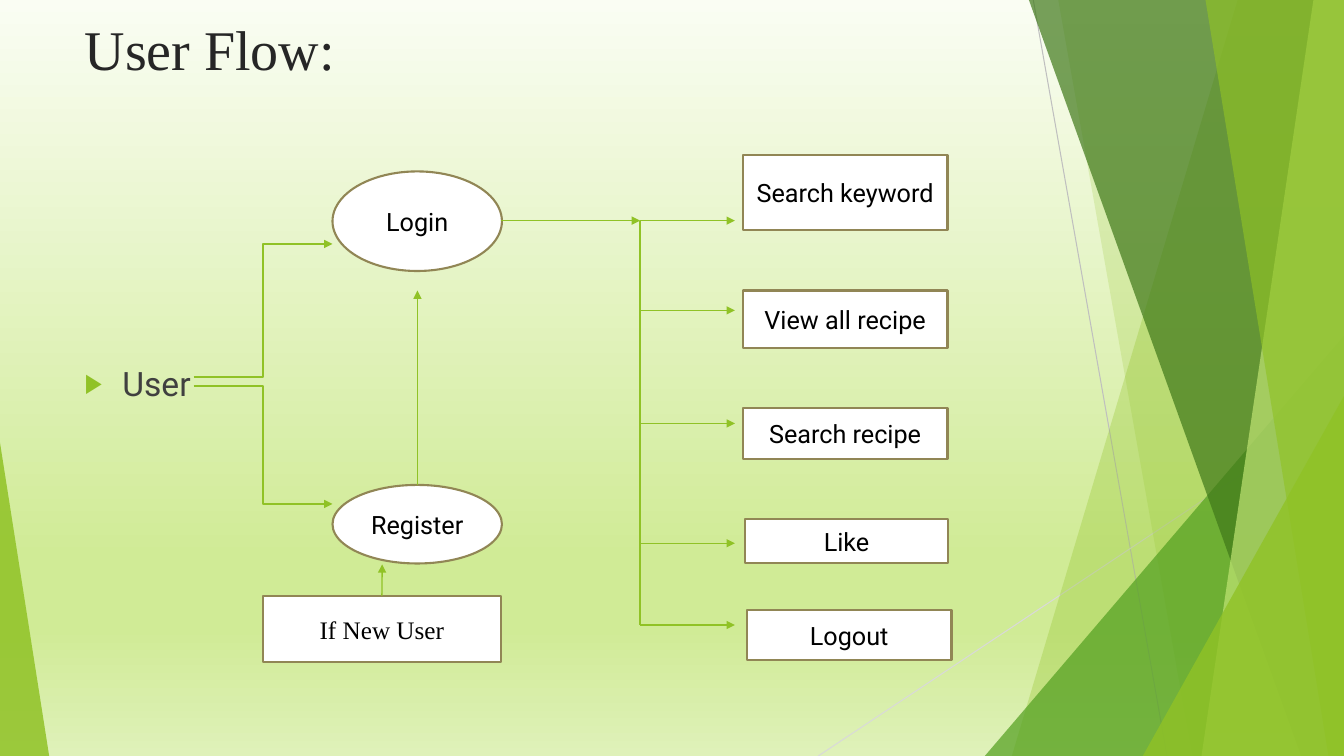
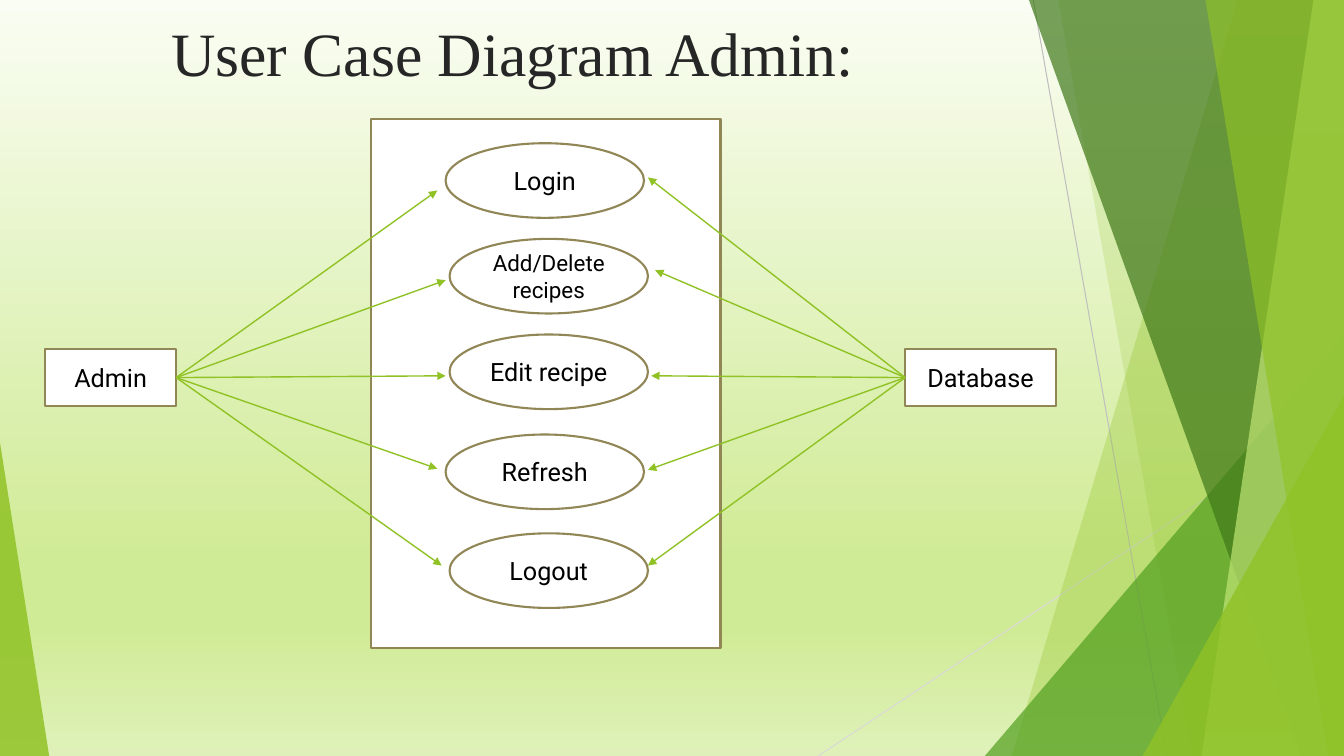
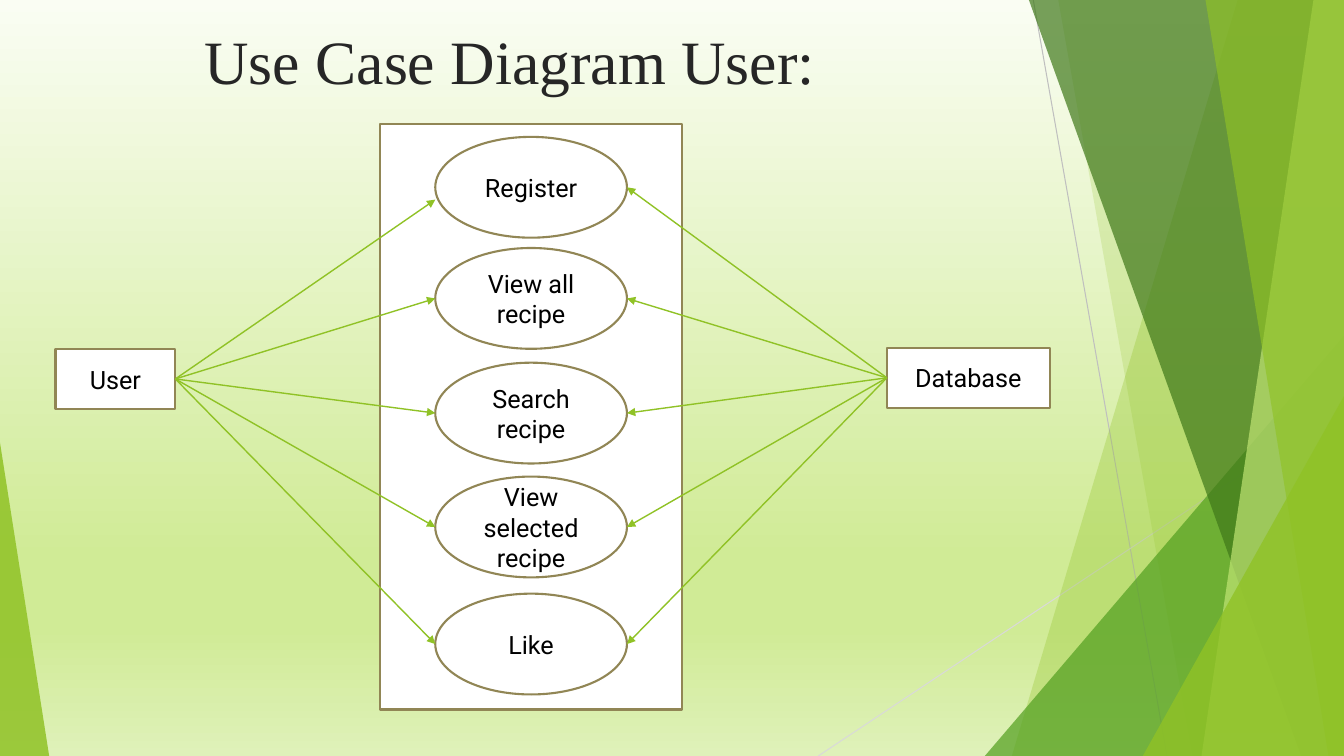
from lxml import etree
from pptx import Presentation
from pptx import util as u
from pptx.dml import color
from pptx.enum import shapes, text
from pptx.oxml import ns

W, H = 33.87, 19.05
GREEN, MID, DARK, PALE = "90C226", "54A021", "3F7819", "C0E474"
SANS, SERIF = "Roboto", "Times New Roman"
RECT, OVAL = shapes.MSO_SHAPE.RECTANGLE, shapes.MSO_SHAPE.OVAL
TRIANGLE = shapes.MSO_SHAPE.ISOSCELES_TRIANGLE
STRAIGHT, ELBOW = shapes.MSO_CONNECTOR.STRAIGHT, shapes.MSO_CONNECTOR.ELBOW
TOP, LEFT, RIGHT = 0, 1, 3


def rgb(value):
    return color.RGBColor.from_string(value)


def child(parent, tag, **attrs):
    return etree.SubElement(parent, ns.qn(tag), attrs)


def apply(target, values):
    for name, value in values.items():
        setattr(target, name, value)


def cm(*values):
    return [u.Cm(v) for v in values]


class Deck:
    stops = ((0, "FAFDF3"), (74, "D0EB96"), (83, "D0EB96"), (100, "DFF1B9"))
    frame = {"word_wrap": True, "auto_size": text.MSO_AUTO_SIZE.NONE}
    title_frame = {**frame, "vertical_anchor": text.MSO_ANCHOR.TOP}
    label_frame = {**frame, "vertical_anchor": text.MSO_ANCHOR.MIDDLE}

    def __init__(self):
        self.prs = Presentation()
        self.prs.slide_width, self.prs.slide_height = cm(W, H)
        self.s = None

    def start(self, title, box, size, layout=5):
        first = self.s is None
        self.s = self.prs.slides.add_slide(self.prs.slide_layouts[layout])
        if first:
            self.background()
            self.backdrop()
        sp = self.s.shapes.title
        self.place(sp, box)
        self.label(sp, title, self.title_frame, SERIF, size, "262626",
                   text.PP_ALIGN.LEFT)

    def background(self):
        master = self.prs.slide_master
        fill = master.background.fill
        fill.gradient()
        fill.gradient_angle = 270
        stops = master.element.xpath(".//p:bg//a:gsLst")[0]
        for old in list(stops):
            stops.remove(old)
        for pos, value in self.stops:
            stop = child(stops, "a:gs", pos=str(pos * 1000))
            child(stop, "a:srgbClr", val=value)

    def backdrop(self):
        parts = [
            self.link(26.04, 0, 29.41, H, False, value="BFBFBF", width=0.75),
            self.link(W, 10.24, 20.62, H, False, value="D9D9D9", width=0.75),
            self.band(31.19, 25.5, GREEN, 30),
            self.band(26.67, 30.05, GREEN, 20),
            self.wedge(24.82, 8.46, W - 24.82, 1, MID, 72),
            self.band(25.93, 32.79, DARK, 70),
            self.band(33.1, 30.28, PALE, 70),
            self.band(30.38, 33.48, GREEN, 65),
            self.wedge(28.8, 9.98, W - 28.8, 1, GREEN, 80),
            self.wedge(0, 11.15, 1.24, 0, GREEN, 85),
        ]
        tree = self.prs.slide_master.shapes.element
        for i, sp in enumerate(parts):
            sp.element.xpath(".//p:cNvPr")[0].set("id", str(100 + i))
            tree.insert(2 + i, sp.element)

    def band(self, top_x, bottom_x, value, opacity):
        fb = self.s.shapes.build_freeform(*cm(top_x, 0), scale=1.0)
        corners = ((W, 0), (W, H), (bottom_x, H))
        fb.add_line_segments([cm(*xy) for xy in corners], close=True)
        return self.tint(fb.convert_to_shape(), value, opacity)

    def wedge(self, x, y, width, apex, value, opacity):
        sp = self.s.shapes.add_shape(TRIANGLE, *cm(x, y, width, H - y))
        sp.adjustments[0] = apex
        return self.tint(sp, value, opacity)

    def tint(self, sp, value, opacity):
        sp.shadow.inherit = False
        sp.fill.solid()
        sp.fill.fore_color.rgb = rgb(value)
        sp.line.fill.background()
        clr = sp.element.xpath("./p:spPr/a:solidFill/a:srgbClr")[0]
        child(clr, "a:alpha", val=str(opacity * 1000))
        return sp

    def place(self, sp, box):
        apply(sp, dict(zip(("left", "top", "width", "height"), cm(*box))))

    def label(self, sp, words, frame, font, size, value, align):
        tf = sp.text_frame
        apply(tf, frame)
        p = tf.paragraphs[0]
        apply(p, {"alignment": align, "space_before": u.Pt(0)})
        r = p.add_run()
        r.text = words
        apply(r.font, {"name": font, "size": u.Pt(size)})
        r.font.color.rgb = rgb(value)

    def bullet(self, words, box, lift):
        sp = self.s.placeholders[1]
        self.place(sp, box)
        pPr = sp.element.xpath(".//a:p")[0].get_or_add_pPr()
        for name, value in (("marL", 0.95), ("indent", -0.95)):
            pPr.set(name, str(u.Cm(value)))
        child(child(pPr, "a:buClr"), "a:srgbClr", val=GREEN)
        child(pPr, "a:buSzPct", val="80000")
        child(pPr, "a:buChar", char="▶")
        frame = {**self.label_frame, "margin_bottom": u.Cm(lift)}
        self.label(sp, words, frame, SANS, 24, "404040", text.PP_ALIGN.LEFT)

    def node(self, kind, box, words="", size=18, font=SANS):
        sp = self.s.shapes.add_shape(kind, *cm(*box))
        sp.shadow.inherit = False
        sp.fill.solid()
        sp.fill.fore_color.rgb = rgb("FFFFFF")
        sp.line.color.rgb = rgb("918655")
        sp.line.width = u.Pt(1.5)
        if words:
            self.label(sp, words, self.label_frame, font, size, "000000",
                       text.PP_ALIGN.CENTER)
        return sp

    def link(self, x1, y1, x2, y2, arrow=True, kind=STRAIGHT, value=GREEN,
             width=1):
        cx = self.s.shapes.add_connector(kind, *cm(x1, y1, x2, y2))
        cx.line.color.rgb = rgb(value)
        cx.line.width = u.Pt(width)
        if arrow:
            ln = cx.element.xpath("./p:spPr/a:ln")[0]
            child(ln, "a:tailEnd", type="triangle")
        child(cx.element.spPr, "a:effectLst")
        return cx

    def use_cases(self, system, actor, database, size, cases):
        self.node(RECT, system)
        sides = ((self.node(RECT, *actor), RIGHT),
                 (self.node(RECT, *database), LEFT))
        for words, points, x, y, *ends in cases:
            self.node(OVAL, (x, y, *size), words, points)
            for (sp, side), end in zip(sides, ends):
                self.link(0, 0, *end).begin_connect(sp, side)


def user_flow(deck):
    deck.start("User Flow:", (1.88, 0.23, 23.88, 3.66), 40, layout=1)
    deck.bullet("User", (1.88, 3.43, 23.88, 13.34), 1)
    for start_y, end_y in ((9.5, 6.15), (9.73, 12.7)):
        deck.link(4.88, start_y, 8.38, end_y, kind=ELBOW)
    deck.node(OVAL, (8.38, 4.32, 4.27, 2.51), "Login")
    deck.node(OVAL, (8.38, 12.22, 4.27, 1.98), "Register")
    new_user = deck.node(RECT, (6.63, 15.01, 5.99, 1.68), "If New User",
                         font=SERIF)
    deck.link(9.63, 15.01, 9.63, 14.22).begin_connect(new_user, TOP)
    deck.link(10.52, 12.22, 10.52, 7.32)
    trunk, top, bottom = 16.13, 5.56, 15.75
    deck.link(12.62, top, trunk, top)
    deck.link(trunk, top, trunk, bottom, False)
    actions = (
        ("Search keyword", top, (18.72, 3.91, 5.16, 1.88)),
        ("View all recipe", 7.82, (18.72, 7.32, 5.16, 1.45)),
        ("Search recipe", 10.67, (18.72, 10.29, 5.16, 1.27)),
        ("Like", 13.69, (18.77, 13.08, 5.13, 1.12)),
        ("Logout", bottom, (18.82, 15.37, 5.16, 1.27)),
    )
    for words, y, box in actions:
        deck.link(trunk, y, 18.52, y)
        deck.node(RECT, box, words)


def admin_cases(deck):
    deck.start("User Case Diagram Admin:", (4.06, 0.25, 18.54, 2.29), 44)
    deck.use_cases(
        (9.35, 3, 8.81, 13.34),
        ((1.14, 8.79, 3.3, 1.45), "Admin"),
        ((22.81, 8.79, 3.81, 1.45), "Database"),
        (5, 1.88),
        (
            ("Login", 18, 11.23, 3.61, (11.02, 4.8), (16.33, 4.47)),
            ("Add/Delete recipes", 16, 11.33, 6.02, (11.23, 7.06), (16.51, 6.81)),
            ("Edit recipe", 18, 11.33, 8.43, (11.23, 9.47), (16.41, 9.47)),
            ("Refresh", 18, 11.23, 10.95, (11.02, 11.81), (16.33, 11.84)),
            ("Logout", 18, 11.33, 13.44, (11.13, 14.25), (16.33, 14.25)),
        ),
    )


def user_cases(deck):
    deck.start("Use Case Diagram User:", (4.9, 0.46, 18.44, 2.34), 44)
    x, width, height = 10.97, 4.83, 2.54
    rows = (
        ("Register", 3.45, 0.31),
        ("View all recipe", 6.25, 0),
        ("Search recipe", 9.14, 0),
        ("View selected recipe", 12.01, 0),
        ("Like", 14.96, 0),
    )
    deck.use_cases(
        (9.58, 3.12, 7.62, 14.76),
        ((1.4, 8.79, 3.02, 1.52), "User"),
        ((22.35, 8.76, 4.11, 1.52), "Database"),
        (width, height),
        [(words, 18, x, y, (x, y + height / 2 + drop),
          (x + width, y + height / 2)) for words, y, drop in rows],
    )


def main():
    deck = Deck()
    for build in (user_flow, admin_cases, user_cases):
        build(deck)
    deck.prs.save("out.pptx")


if __name__ == "__main__":
    main()
